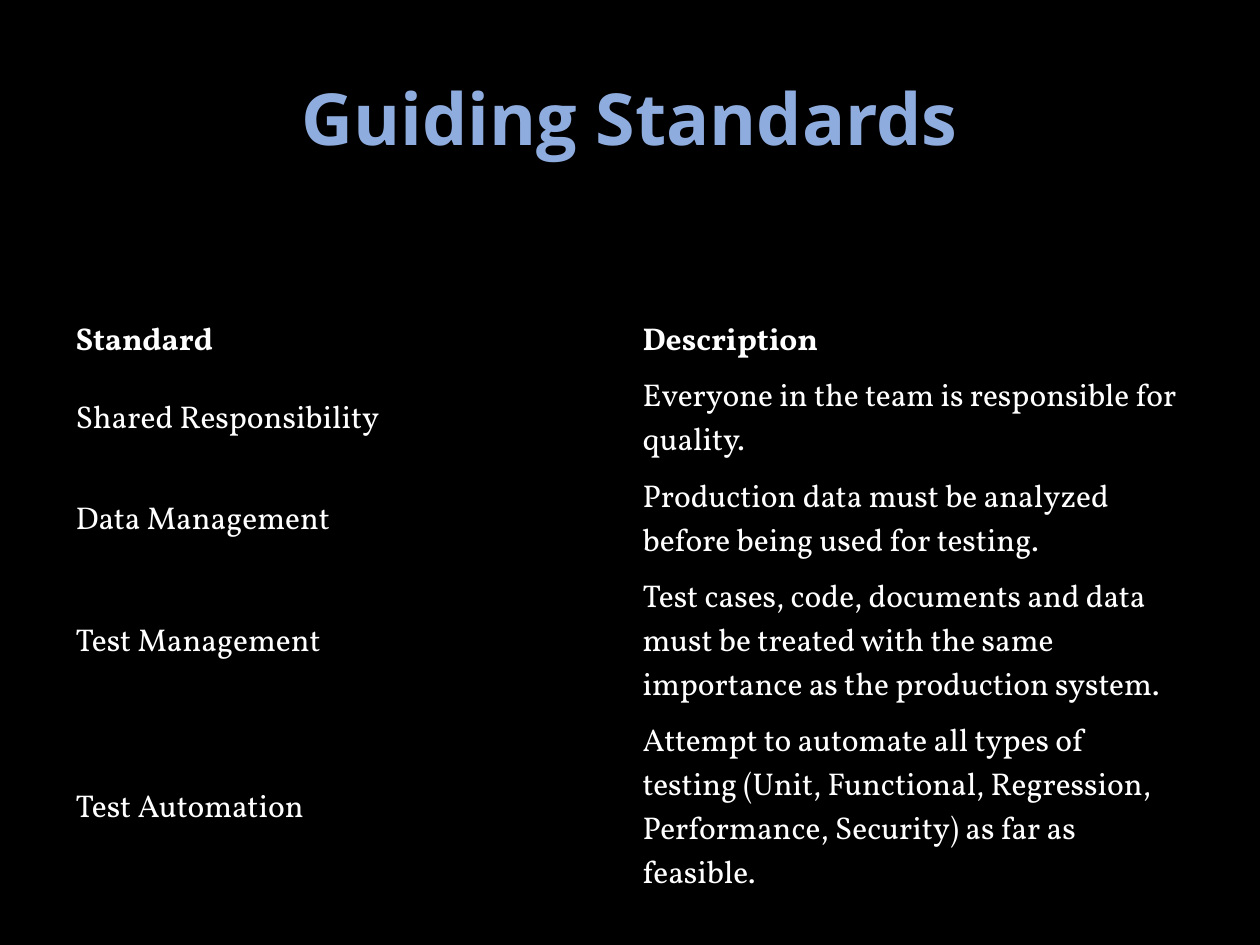
from pptx import Presentation
from pptx.dml.color import RGBColor as RGB
from pptx.enum.text import MSO_ANCHOR as ANCHOR, PP_ALIGN as ALIGN
from pptx.util import Inches, Pt

COLORS = {"background": "000000", "title": "8FACDE", "text": "FFFFFF"}
FONTS = {"title": "Open Sans", "body": "Vollkorn"}
NO_STYLE_NO_GRID = "{2D5ABB26-0587-4C30-8999-92F81FD0307C}"
WIDTH, HEIGHT = Inches(10), Inches(7.5)

STANDARDS = [
    ("Standard", "Description"),
    ("Shared Responsibility", "Everyone in the team is responsible for quality."),
    ("Data Management", "Production data must be analyzed before being used for testing."),
    ("Test Management", "Test cases, code, documents and data must be treated with "
     "the same importance as the production system."),
    ("Test Automation", "Attempt to automate all types of testing (Unit, Functional, "
     "Regression, Performance, Security) as far as feasible."),
]
ROW_HEIGHTS = [0.19, 0.69, 0.69, 0.98, 1.28]


def share_box(left, top, width, height):
    """Turn shares of the slide's size into a box."""
    return (int(left * WIDTH), int(top * HEIGHT),
            int(width * WIDTH), int(height * HEIGHT))


def style_text(tf, font, size, color, bold):
    for p in tf.paragraphs:
        for r in p.runs:
            r.font.name = font
            r.font.size = Pt(size)
            r.font.bold = bold
            r.font.color.rgb = RGB.from_string(COLORS[color])


def add_title(s, box, text):
    tf = s.shapes.add_textbox(*box).text_frame
    tf.word_wrap = True
    tf.vertical_anchor = ANCHOR.MIDDLE
    tf.text = text
    tf.paragraphs[0].alignment = ALIGN.CENTER
    style_text(tf, FONTS["title"], 41, "title", True)


def add_standards_table(s, box, rows):
    frame = s.shapes.add_table(len(rows), len(rows[0]), *box)
    table = frame.table
    # Plain table: no banding, no grid
    table.horz_banding = False
    table.first_row = False
    table._tbl.tblPr[0].text = NO_STYLE_NO_GRID
    for row, height in zip(table.rows, ROW_HEIGHTS):
        row.height = Inches(height)
    # Cells, with a bold header row
    for i, texts in enumerate(rows):
        for j, text in enumerate(texts):
            cell = table.cell(i, j)
            cell.fill.background()
            cell.vertical_anchor = ANCHOR.MIDDLE
            cell.text_frame.text = text
            style_text(cell.text_frame, FONTS["body"], 18, "text", i == 0)


def main():
    prs = Presentation()
    prs.slide_width, prs.slide_height = WIDTH, HEIGHT
    s = prs.slides.add_slide(prs.slide_layouts[6])
    fill = s.background.fill
    fill.solid()
    fill.fore_color.rgb = RGB.from_string(COLORS["background"])

    add_standards_table(s, share_box(0.05, 0.332, 0.9, 0.51), STANDARDS)
    add_title(s, share_box(0.05, 0.04, 0.9, 0.167), "Guiding Standards")
    prs.save("out.pptx")


if __name__ == "__main__":
    main()
